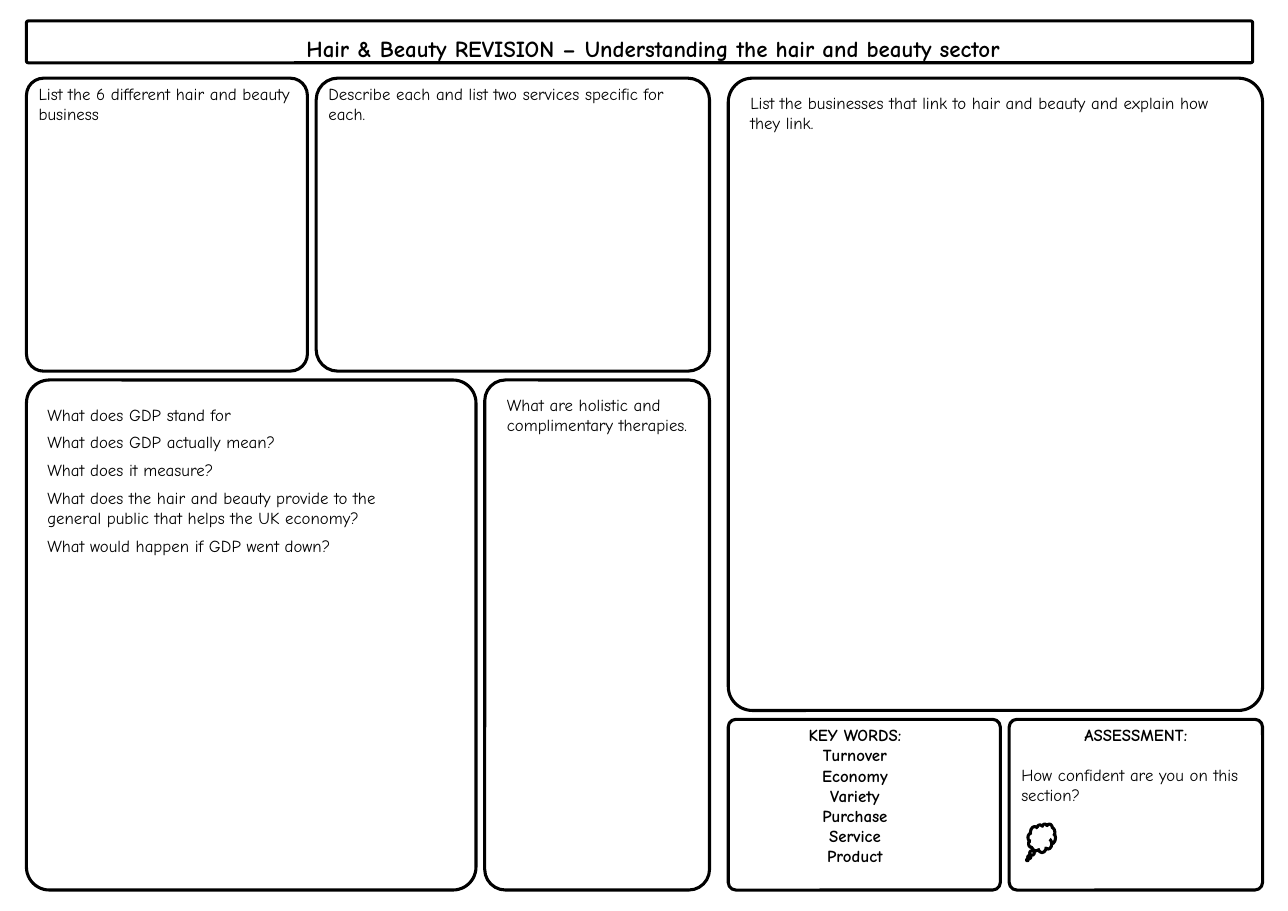
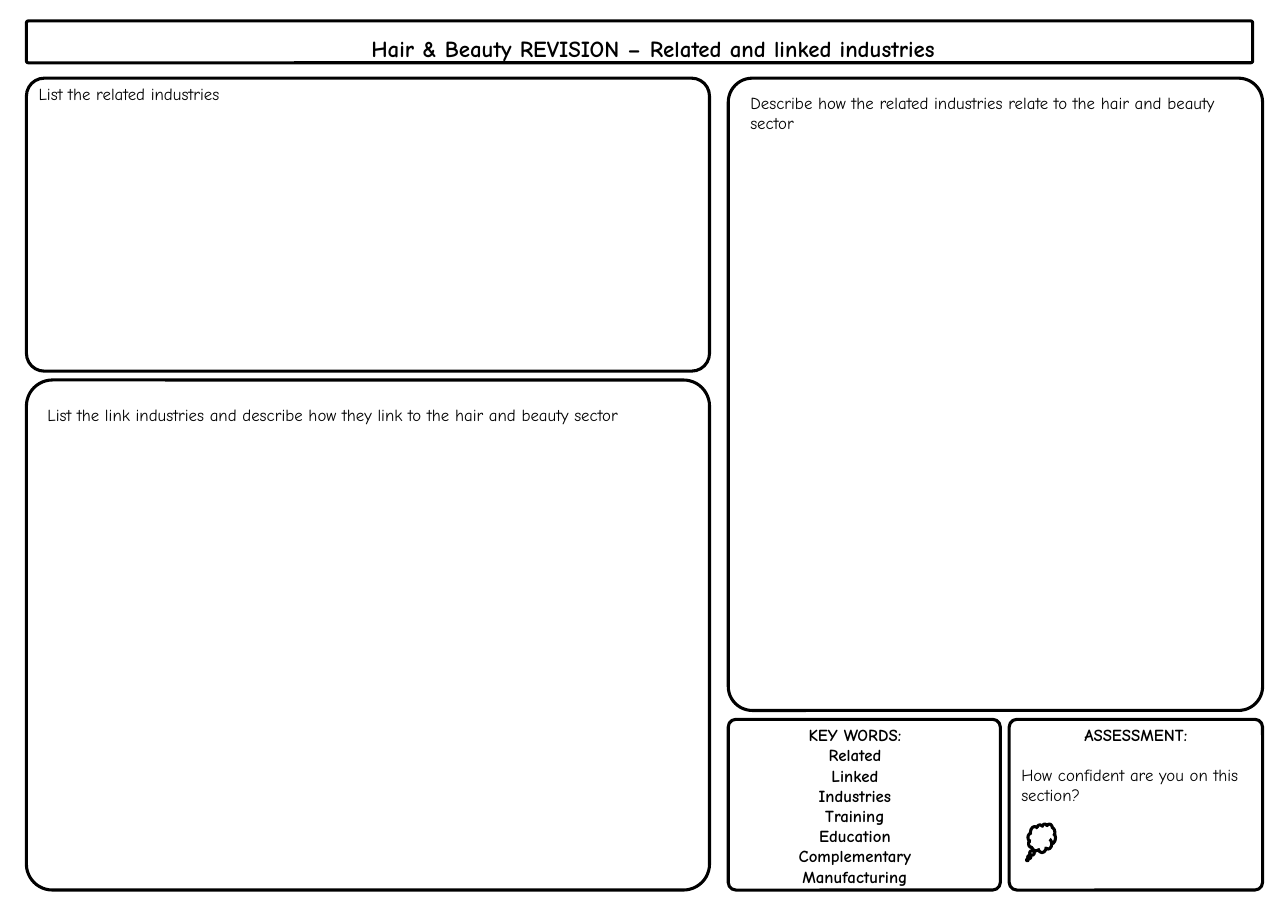
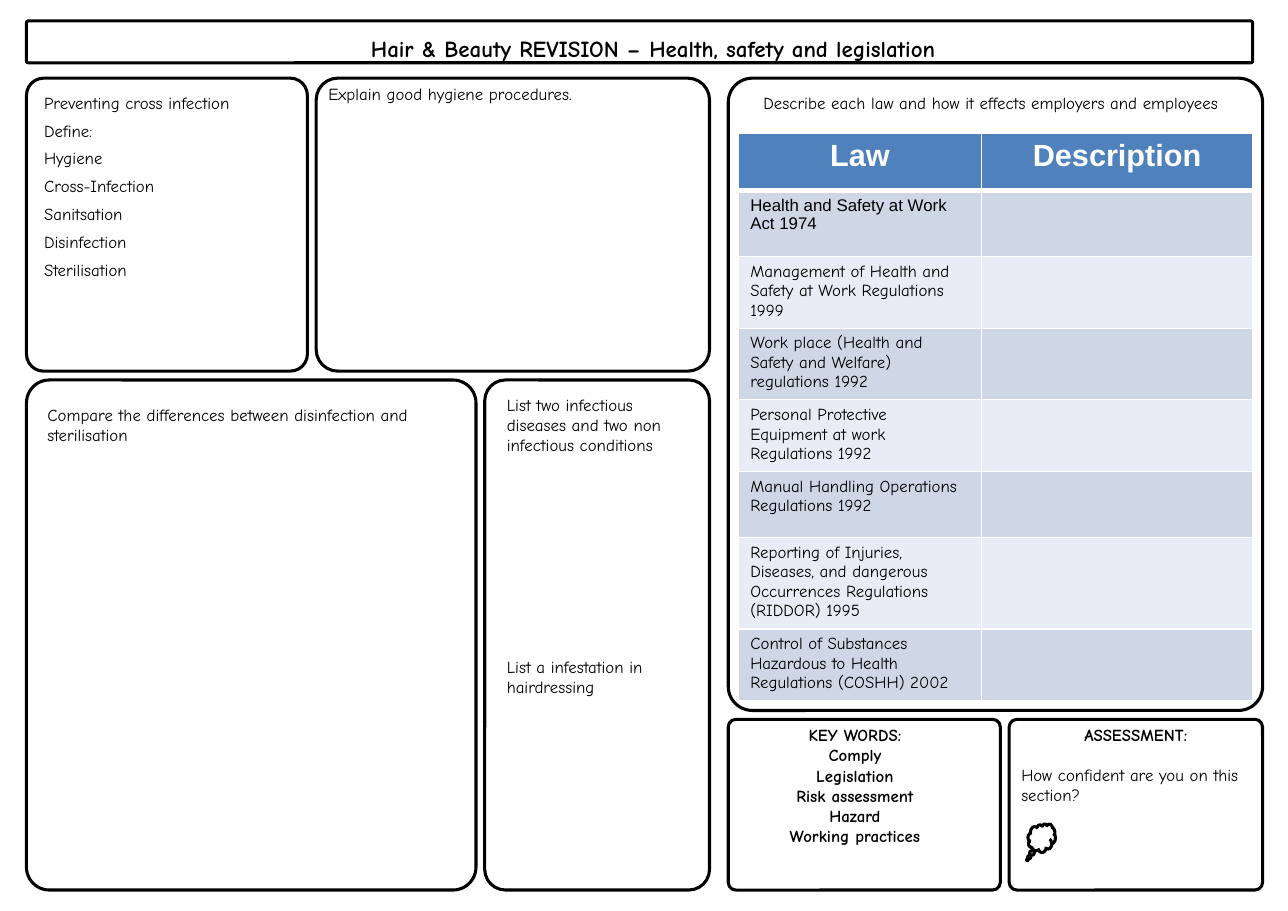
from dataclasses import dataclass

from lxml import etree
from pptx import Presentation
from pptx.dml.color import RGBColor
from pptx.enum.shapes import MSO_SHAPE
from pptx.enum.text import MSO_ANCHOR, MSO_AUTO_SIZE, PP_ALIGN
from pptx.oxml.ns import qn
from pptx.util import Inches, Pt

ROUNDED = MSO_SHAPE.ROUNDED_RECTANGLE
CLOUD = MSO_SHAPE.CLOUD_CALLOUT
LEFT, CENTER = PP_ALIGN.LEFT, PP_ALIGN.CENTER
TOP, BOTTOM = MSO_ANCHOR.TOP, MSO_ANCHOR.BOTTOM


@dataclass(frozen=True)
class Theme:
    ink: str = "000000"
    white: str = "FFFFFF"
    header: str = "4F81BD"
    bands: tuple = ("CFD7E7", "E8ECF4")
    font: str = "Comic Neue"
    table_font: str = "Arial"
    title_size: int = 15
    body_size: int = 11
    header_size: int = 20
    line: int = 2
    prompt_gap: int = 5
    inset_x: float = 0.11
    inset_y: float = 0.05


THEME = Theme()

# Grid lines in inches; every panel stops one gap short of its end lines.
COLUMNS = (0.24, 2.87, 4.4, 6.52, 6.61, 9.16, 11.54)
ROWS = (0.71, 3.45, 6.53, 8.16)
GAP = 0.08
BANNER = (0.24, 0.19, 11.13, 0.38)
TITLE = (1.72, 0.19, 8.42, 0.42)


@dataclass(frozen=True)
class Panel:
    """A rounded frame between grid lines, and the margins of its text."""
    columns: tuple
    rows: tuple
    corner: float
    indent: float = 0
    drop: float = 0
    trim: float = 0

    def frame(self):
        left, right = (COLUMNS[i] for i in self.columns)
        top, bottom = (ROWS[i] for i in self.rows)
        return left, top, right - left - GAP, bottom - top - GAP

    def text_area(self, height):
        left, top, width, _ = self.frame()
        return (left + self.indent, top + self.drop,
                width - self.indent - self.trim, height)


TOP_LEFT = Panel((0, 1), (0, 1), 0.061)
TOP_LEFT_INDENTED = Panel((0, 1), (0, 1), 0.061, 0.05, 0.08)
TOP_MIDDLE = Panel((1, 3), (0, 1), 0.074, trim=0.08)
TOP_WIDE = Panel((0, 3), (0, 1), 0.061, trim=0.08)
LOW_LEFT = Panel((0, 2), (1, 3), 0.051, 0.08, 0.17, 0.43)
LOW_MIDDLE = Panel((2, 3), (1, 3), 0.092, 0.09, 0.08, 0.08)
LOW_WIDE = Panel((0, 3), (1, 3), 0.051, 0.08, 0.17, 0.1)
RIGHT = Panel((4, 6), (0, 2), 0.045, 0.09, 0.08, 0.17)
KEY_WORDS = Panel((4, 5), (2, 3), 0.045, 0.09, 0, 0.26)
ASSESSMENT = Panel((5, 6), (2, 3), 0.045)

LAWS = (
    "Health and Safety at Work Act 1974",
    "Management of Health and Safety at Work Regulations 1999",
    "Work place (Health and Safety and Welfare) regulations 1992",
    "Personal Protective Equipment at work Regulations 1992",
    "Manual Handling Operations Regulations 1992",
    "Reporting of Injuries, Diseases, and dangerous Occurrences Regulations (RIDDOR) 1995",
    "Control of Substances Hazardous to Health Regulations (COSHH) 2002",
)
LAW_COLUMNS = (2.21, 2.46)
LAW_ROWS = (0.52, 0.6, 0.65, 0.65, 0.65, 0.6, 0.83, 0.65)
LAW_TABLE_DROP = 0.5


def color(code):
    return RGBColor.from_string(code)


def inches(box):
    return [Inches(round(length, 2)) for length in box]


def place(shape, box):
    shape.left, shape.top, shape.width, shape.height = inches(box)


def add_outline(slide, kind, box, adjustments):
    outline = slide.shapes.add_shape(kind, *inches(box))
    outline.shadow.inherit = False
    outline.fill.background()
    outline.line.color.rgb = color(THEME.ink)
    outline.line.width = Pt(THEME.line)
    for i, value in enumerate(adjustments):
        outline.adjustments[i] = value


def prepare(frame, anchor=TOP):
    frame.word_wrap = True
    frame.auto_size = MSO_AUTO_SIZE.NONE
    frame.vertical_anchor = anchor
    frame.margin_left = frame.margin_right = Inches(THEME.inset_x)
    frame.margin_top = frame.margin_bottom = Inches(THEME.inset_y)


def write(paragraph, text, size=THEME.body_size, bold=False, align=LEFT,
          before=0, font=THEME.font, ink=THEME.ink):
    paragraph.alignment = align
    paragraph.space_before = Pt(before)
    run = paragraph.add_run()
    run.text = text
    run.font.name = font
    run.font.size = Pt(size)
    run.font.bold = bold
    run.font.color.rgb = color(ink)


def paragraphs(frame, count):
    """Yield the first paragraph of the frame, then new ones."""
    yield frame.paragraphs[0]
    for _ in range(count - 1):
        yield frame.add_paragraph()


def add_panel(slide, panel):
    add_outline(slide, ROUNDED, panel.frame(), [panel.corner])


def add_text(slide, panel, height):
    frame = slide.shapes.add_textbox(*inches(panel.text_area(height))).text_frame
    prepare(frame)
    return frame


def add_prompts(slide, panel, height, prompts, align=LEFT, gap=THEME.prompt_gap):
    add_panel(slide, panel)
    frame = add_text(slide, panel, height)
    for i, paragraph in enumerate(paragraphs(frame, len(prompts))):
        write(paragraph, prompts[i], align=align, before=gap if i else 0)


def add_title(slide, topic):
    add_outline(slide, ROUNDED, BANNER, [0.045])
    title = slide.shapes.title
    place(title, TITLE)
    prepare(title.text_frame, BOTTOM)
    write(title.text_frame.paragraphs[0], f"Hair & Beauty REVISION – {topic}",
          THEME.title_size, True, CENTER)


def add_key_words(slide, words, height):
    add_panel(slide, KEY_WORDS)
    body = slide.placeholders[1]
    place(body, KEY_WORDS.text_area(height))
    prepare(body.text_frame)
    lines = ("KEY WORDS:", *words)
    for paragraph, line in zip(paragraphs(body.text_frame, len(lines)), lines):
        properties = paragraph._p.get_or_add_pPr()
        properties.set("marL", "0")
        properties.set("indent", "0")
        etree.SubElement(properties, qn("a:buNone"))
        write(paragraph, line, bold=True, align=CENTER)


def add_assessment(slide):
    add_panel(slide, ASSESSMENT)
    heading, question = paragraphs(add_text(slide, ASSESSMENT, 1.39), 2)
    write(heading, "ASSESSMENT:", bold=True, align=CENTER)
    write(question, "How confident are you on this section?", before=13)
    left, top, _, _ = ASSESSMENT.frame()
    add_outline(slide, CLOUD, (left + 0.17, top + 0.95, 0.25, 0.26), [-0.522, 0.761])


def add_revision_slide(deck, topic, words, words_height):
    slide = deck.slides.add_slide(deck.slide_layouts[1])
    add_title(slide, topic)
    add_key_words(slide, words, words_height)
    add_assessment(slide)
    return slide


def style_cell(cell, fill, header):
    properties = cell._tc.get_or_add_tcPr()
    for side in "LRTB":
        width = 3 if header and side == "B" else 1
        edge = etree.SubElement(properties, qn(f"a:ln{side}"), w=str(Pt(width)))
        paint = etree.SubElement(edge, qn("a:solidFill"))
        etree.SubElement(paint, qn("a:srgbClr"), val=THEME.white)
    cell.fill.solid()
    cell.fill.fore_color.rgb = color(fill)
    cell.margin_left = cell.margin_right = Inches(THEME.inset_x)
    cell.margin_top = cell.margin_bottom = Inches(THEME.inset_y)


def add_law_table(slide):
    left, top, _, _ = RIGHT.frame()
    box = (left + RIGHT.indent, top + LAW_TABLE_DROP, sum(LAW_COLUMNS), sum(LAW_ROWS))
    table = slide.shapes.add_table(len(LAW_ROWS), len(LAW_COLUMNS), *inches(box)).table
    for column, width in zip(table.columns, LAW_COLUMNS):
        column.width = Inches(width)
    for i, (row, height) in enumerate(zip(table.rows, LAW_ROWS)):
        row.height = Inches(height)
        for cell in row.cells:
            style_cell(cell, THEME.bands[(i - 1) % 2] if i else THEME.header, i == 0)
    for i, heading in enumerate(("Law", "Description")):
        write(table.cell(0, i).text_frame.paragraphs[0], heading, THEME.header_size,
              True, CENTER, font=THEME.table_font, ink=THEME.white)
    for i, law in enumerate(LAWS, 1):
        write(table.cell(i, 0).text_frame.paragraphs[0], law,
              font=THEME.table_font if i == 1 else THEME.font)


def build_sector(deck):
    slide = add_revision_slide(
        deck, "Understanding the hair and beauty sector",
        ("Turnover", "Economy", "Variety", "Purchase", "Service", "Product"), 1.58)
    add_prompts(slide, TOP_LEFT, 0.48, ["List the 6 different hair and beauty business"])
    add_prompts(slide, TOP_MIDDLE, 0.48,
                ["Describe each and list two services specific for each."])
    add_prompts(slide, LOW_LEFT, 1.58, [
        "What does GDP stand for",
        "What does GDP actually mean?",
        "What does it measure?",
        "What does the hair and beauty provide to the general public that helps the UK economy?",
        "What would happen if GDP went down?",
    ])
    add_prompts(slide, LOW_MIDDLE, 0.66, ["What are holistic and complimentary therapies."])
    add_prompts(slide, RIGHT, 0.48, [
        "List the businesses that link to hair and beauty and explain how they link."])


def build_industries(deck):
    slide = add_revision_slide(
        deck, "Related and linked industries",
        ("Related", "Linked", "Industries", "Training", "Education",
         "Complementary", "Manufacturing"), 1.94)
    add_prompts(slide, TOP_WIDE, 0.29, ["List the related industries"])
    add_prompts(slide, LOW_WIDE, 0.29, [
        "List the link industries and describe how they link to the hair and beauty sector"])
    add_prompts(slide, RIGHT, 0.48, [
        "Describe how the related industries relate to the hair and beauty sector"])


def build_legislation(deck):
    slide = add_revision_slide(
        deck, "Health, safety and legislation",
        ("Comply", "Legislation", "Risk assessment", "Hazard", "Working practices"), 1.21)
    add_prompts(slide, TOP_LEFT_INDENTED, 2.49, [
        "Preventing cross infection", "Define:", "Hygiene", "Cross-Infection",
        "Sanitsation", "Disinfection", "Sterilisation"])
    add_prompts(slide, TOP_MIDDLE, 2.66, ["Explain good hygiene procedures."])
    add_prompts(slide, LOW_LEFT, 0.48, [
        "Compare the differences between disinfection and sterilisation"])
    add_prompts(slide, LOW_MIDDLE, 4.14, [
        "List two infectious diseases and two non infectious conditions",
        "List a infestation in hairdressing"], gap=132)
    add_prompts(slide, RIGHT, 0.48, [
        "Describe each law and how it effects employers and employees"], CENTER)
    add_law_table(slide)


def main():
    deck = Presentation()
    deck.slide_width, deck.slide_height = Inches(11.69), Inches(8.27)
    build_sector(deck)
    build_industries(deck)
    build_legislation(deck)
    deck.save("out.pptx")


if __name__ == "__main__":
    main()
